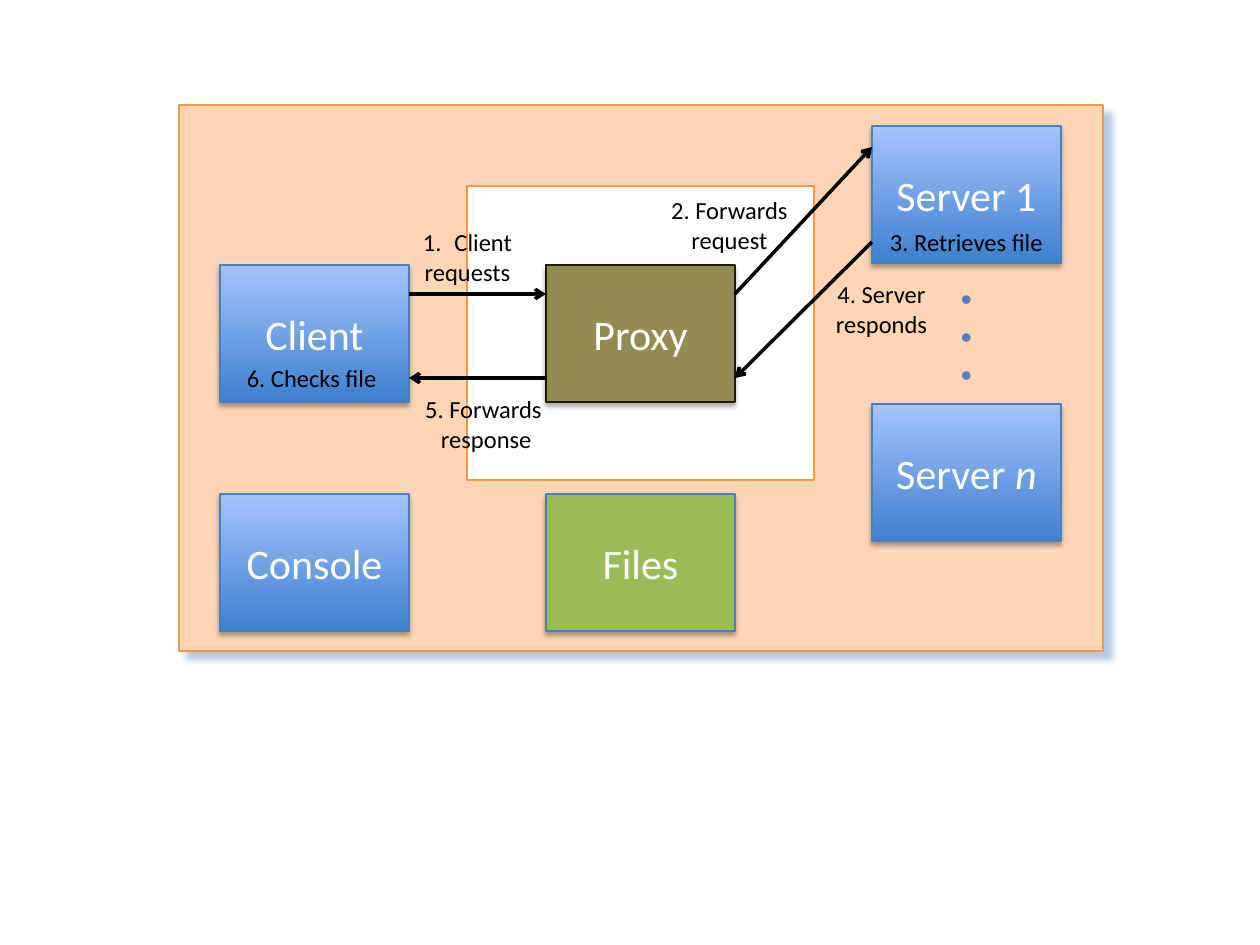
from lxml import etree
from pptx import Presentation
from pptx.dml.color import RGBColor
from pptx.enum.shapes import MSO_CONNECTOR, MSO_SHAPE
from pptx.enum.text import MSO_ANCHOR, MSO_AUTO_SIZE, PP_ALIGN
from pptx.oxml.ns import qn
from pptx.util import Pt

RECTANGLE, STRAIGHT = MSO_SHAPE.RECTANGLE, MSO_CONNECTOR.STRAIGHT
CENTER, MIDDLE = PP_ALIGN.CENTER, MSO_ANCHOR.MIDDLE
GROW = MSO_AUTO_SIZE.SHAPE_TO_FIT_TEXT

PX_PER_INCH = 126
NODE_W, NODE_H = 189, 137
LEFT_COL, MIDDLE_COL, RIGHT_COL = 220, 546, 872
PROXY_ROW, BOTTOM_ROW = 265, 494
REQUEST_Y, RESPONSE_Y = 294, 378

BLACK, WHITE = "000000", "FFFFFF"
ORANGE, PEACH = "F79646", "FCD5B5"
BLUE, BLUE_EDGE = "4F81BD", "4B7EBC"
BLUE_GRADIENT = ("3F80CE", "A4C4FF")  # bottom, top
# colour, opacity %, blur pt, distance pt, direction in degrees
PANEL_SHADOW = (BLUE, 43, 4, 7, 45)
NODE_SHADOW = (BLACK, 35, 3.1, 1.8, 90)


def px(length):
    return round(length * 914400 / PX_PER_INCH)


def color(value):
    return RGBColor.from_string(value)


def add_shadow(shape, tint, opacity, blur, distance, angle):
    effects = shape._element.spPr.find(qn("a:effectLst"))
    shadow = etree.SubElement(
        effects, qn("a:outerShdw"), blurRad=str(Pt(blur)), dist=str(Pt(distance)),
        dir=str(angle * 60000), algn="tl", rotWithShape="0")
    tone = etree.SubElement(shadow, qn("a:srgbClr"), val=tint)
    etree.SubElement(tone, qn("a:alpha"), val=str(opacity * 1000))


def add_box(page, x, y, width, height, fill, edge, shadow=None):
    box = page.shapes.add_shape(RECTANGLE, px(x), px(y), px(width), px(height))
    if isinstance(fill, tuple):
        box.fill.gradient()
        box.fill.gradient_angle = 90
        for stop, tint in zip(box.fill.gradient_stops, fill):
            stop.color.rgb = color(tint)
    else:
        box.fill.solid()
        box.fill.fore_color.rgb = color(fill)
    box.line.color.rgb = color(edge)
    box.line.width = Pt(0.75)
    box.shadow.inherit = False
    if shadow:
        add_shadow(box, *shadow)
    return box


def style_para(para, size, tint, font="Calibri"):
    para.alignment = CENTER
    para.font.size = Pt(size)
    para.font.name = font
    para.font.color.rgb = color(tint)


def add_node(page, x, y, name, fill=BLUE_GRADIENT, edge=BLUE_EDGE, variable=""):
    """A labelled box; the variable part of its name is italic."""
    box = add_box(page, x, y, NODE_W, NODE_H, fill, edge, NODE_SHADOW)
    box.text_frame.vertical_anchor = MIDDLE
    para = box.text_frame.paragraphs[0]
    para.add_run().text = name
    if variable:
        span = para.add_run()
        span.text = variable
        span.font.italic = True
    style_para(para, 24, WHITE)


def add_label(page, x, y, width, height, lines, size=14, tint=BLACK, font="Calibri"):
    box = page.shapes.add_textbox(px(x), px(y), px(width), px(height))
    frame = box.text_frame
    frame.word_wrap = True
    frame.auto_size = GROW
    frame.text = "\n".join(lines)
    for para in frame.paragraphs:
        style_para(para, size, tint, font)
    return box


def number_first_line(box):
    props = box.text_frame.paragraphs[0]._p.get_or_add_pPr()
    indent = px(PX_PER_INCH / 4)
    props.set("marL", str(indent))
    props.set("indent", str(-indent))
    # Bullets precede the default run properties in the schema
    number = etree.Element(qn("a:buAutoNum"), type="arabicPeriod")
    props.insert(0, number)


def add_arrow(page, x1, y1, x2, y2):
    arrow = page.shapes.add_connector(STRAIGHT, px(x1), px(y1), px(x2), px(y2))
    arrow.line.color.rgb = color(BLACK)
    arrow.line.width = Pt(2)
    etree.SubElement(arrow.line._get_or_add_ln(), qn("a:tailEnd"), type="arrow")
    etree.SubElement(arrow._element.spPr, qn("a:effectLst"))


def main():
    deck = Presentation()
    deck.slide_width, deck.slide_height = px(1260), px(945)
    page = deck.slides.add_slide(deck.slide_layouts[6])

    # Background panels
    add_box(page, 179, 105, 924, 546, PEACH, ORANGE, PANEL_SHADOW)
    add_box(page, 467, 186, 347, 294, WHITE, ORANGE)

    # Nodes
    add_node(page, MIDDLE_COL, PROXY_ROW, "Proxy", "948A54", "1E1C11")
    add_node(page, LEFT_COL, PROXY_ROW, "Client")
    add_node(page, MIDDLE_COL, BOTTOM_ROW, "Files", "9BBB59")
    add_node(page, RIGHT_COL, 126, "Server 1")
    add_node(page, RIGHT_COL, 404, "Server ", variable="n")
    add_node(page, LEFT_COL, BOTTOM_ROW, "Console")
    add_label(page, 935, 273, 63, 127, ["•"] * 3, 18, BLUE, "Arial")

    # Message arrows
    client_edge, proxy_edge = LEFT_COL + NODE_W, MIDDLE_COL + NODE_W
    add_arrow(page, client_edge, REQUEST_Y, MIDDLE_COL, REQUEST_Y)
    add_arrow(page, MIDDLE_COL, RESPONSE_Y, client_edge, RESPONSE_Y)
    add_arrow(page, proxy_edge, REQUEST_Y, RIGHT_COL, 147)
    add_arrow(page, RIGHT_COL, 242, proxy_edge, RESPONSE_Y)

    # Numbered steps
    first_step = add_label(page, 368, 221, 199, 72, ["Client", "requests"])
    number_first_line(first_step)
    add_label(page, 630, 189, 199, 72, ["2. Forwards request"])
    add_label(page, RIGHT_COL, 221, NODE_W, 42, ["3. Retrieves file"])
    add_label(page, 766, 273, 231, 72, ["4. Server", "responds"])
    add_label(page, 368, 388, 231, 72, ["5. Forwards", " response"])
    add_label(page, LEFT_COL, 357, NODE_W, 42, ["6. Checks file "])

    deck.save("out.pptx")


if __name__ == "__main__":
    main()
